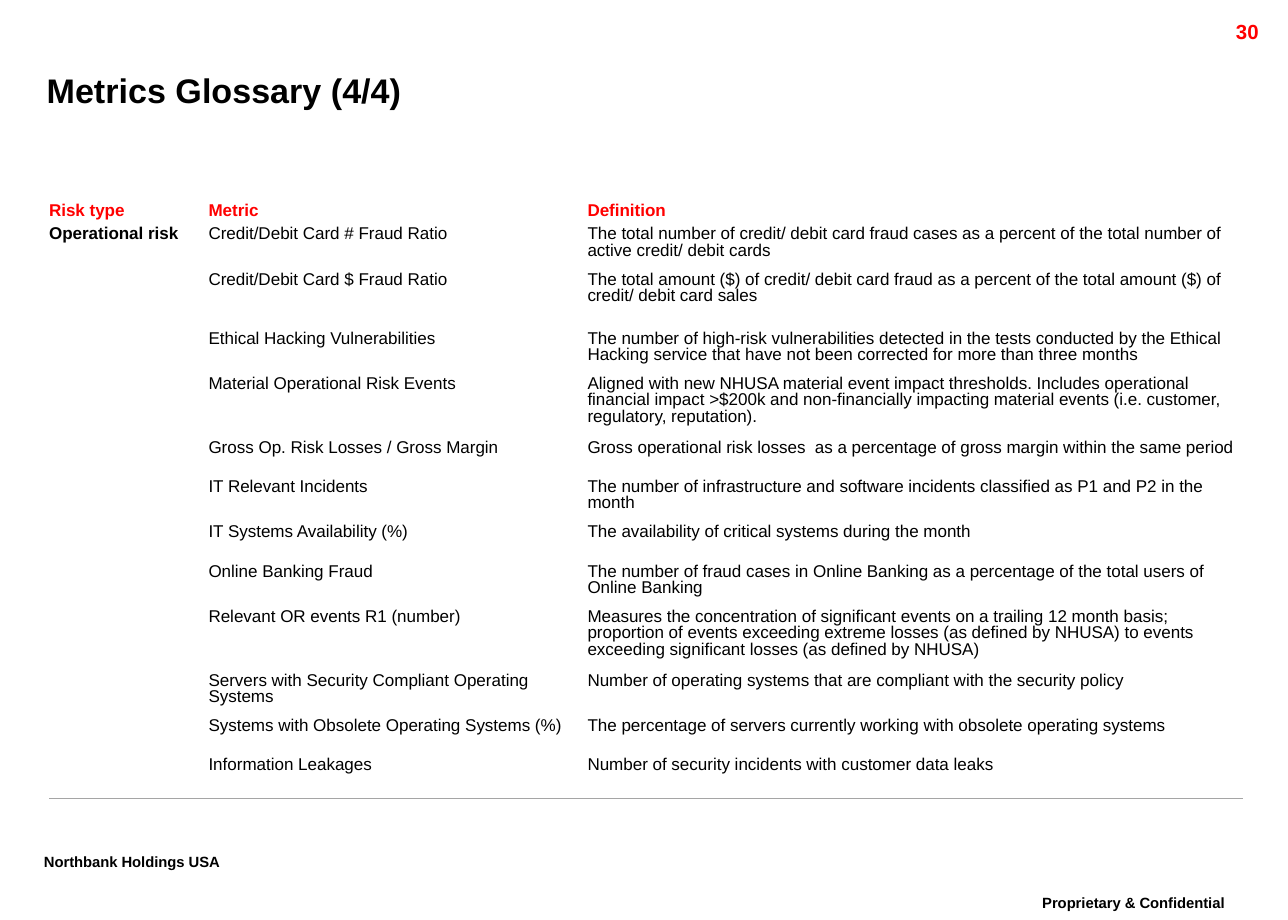
from lxml import etree
from pptx import Presentation
from pptx import util as u
from pptx.dml import color
from pptx.enum import text
from pptx.oxml import ns

RED, BLACK, GREY = "FF0000", "000000", "A5A5A5"
TITLE = "Metrics Glossary (4/4)"
HEADS = ["Risk type", "Metric", "Definition"]
RISK = "Operational risk"
# metric, definition, row height
METRICS = [
    ("Credit/Debit Card # Fraud Ratio",
     "The total number of credit/ debit card fraud cases as a percent of the "
     "total number of active credit/ debit cards", 0.37),
    ("Credit/Debit Card $ Fraud Ratio",
     "The total amount ($) of credit/ debit card fraud as a percent of the "
     "total amount ($) of credit/ debit card sales", 0.48),
    ("Ethical Hacking Vulnerabilities",
     "The number of high-risk vulnerabilities detected in the tests conducted by the "
     "Ethical Hacking service that have not been corrected for more than three months", 0.37),
    ("Material Operational Risk Events",
     "Aligned with new NHUSA material event impact thresholds. Includes operational "
     "financial impact >$200k and non-financially impacting material events "
     "(i.e. customer, regulatory, reputation).", 0.52),
    ("Gross Op. Risk Losses / Gross Margin",
     "Gross operational risk losses  as a percentage of gross margin within the same period",
     0.32),
    ("IT Relevant Incidents",
     "The number of infrastructure and software incidents classified as P1 and P2 in the month",
     0.37),
    ("IT Systems Availability (%)",
     "The availability of critical systems during the month", 0.32),
    ("Online Banking Fraud",
     "The number of fraud cases in Online Banking as a percentage of the total users of "
     "Online Banking", 0.37),
    ("Relevant OR events R1 (number)",
     "Measures the concentration of significant events on a trailing 12 month basis; "
     "proportion of events exceeding extreme losses (as defined by NHUSA) to events "
     "exceeding significant losses (as defined by NHUSA)", 0.52),
    ("Servers with Security Compliant Operating Systems",
     "Number of operating systems that are compliant with the security policy", 0.37),
    ("Systems with Obsolete Operating Systems (%)",
     "The percentage of servers currently working with obsolete operating systems", 0.32),
    ("Information Leakages",
     "Number of security incidents with customer data leaks", 0.37),
]
WIDTHS = [1.3, 3.09, 5.34]
LEFT, TOP, HEAD_H = 0.4, 1.6, 0.21
ALIGN = text.PP_ALIGN
# text, place, alignment, size, colour, line spacing, raised by (% of size)
NOTES = [
    ("Proprietary & Confidential", (8.15, 7.25, 2.18, 0.35), ALIGN.CENTER, 15, BLACK, 0.86, 30),
    ("Northbank Holdings USA", (0.26, 6.91, 1.91, 0.35), ALIGN.LEFT, 15, BLACK, 0.86, 30),
    ("30", (9.36, 0.11, 1, 0.24), ALIGN.RIGHT, 12, RED, 1.0, 0),
]


def put(frame, words, size, hue, bold, gap=0.86, align=ALIGN.LEFT):
    """Write one formatted paragraph and return its run."""
    frame.text = words
    para = frame.paragraphs[0]
    para.alignment, para.line_spacing = align, gap
    run = para.runs[0]
    run.font.name, run.font.size, run.font.bold = "Arial", u.Pt(size), bold
    run.font.color.rgb = color.RGBColor.from_string(hue)
    return run


def place(shape, box):
    shape.left, shape.top, shape.width, shape.height = map(u.Inches, box)


def rule(cell, shown):
    """Draw the line below a cell and leave its other sides bare."""
    props = cell._tc.get_or_add_tcPr()
    for side in "LRTB":
        line = etree.SubElement(props, ns.qn("a:ln" + side), w=str(u.Pt(0.75)))
        if side == "B" and shown:
            fill = etree.SubElement(line, ns.qn("a:solidFill"))
            etree.SubElement(fill, ns.qn("a:srgbClr"), val=GREY)
        else:
            etree.SubElement(line, ns.qn("a:noFill"))


def add_grid(slide):
    heights = [HEAD_H] + [row[2] for row in METRICS]
    last = len(METRICS)
    box = map(u.Inches, (LEFT, TOP, sum(WIDTHS), sum(heights)))
    table = slide.shapes.add_table(last + 1, len(HEADS), *box).table
    table.first_row = table.horz_banding = False
    for col, width in zip(table.columns, WIDTHS):
        col.width = u.Inches(width)
    for row, height in zip(table.rows, heights):
        row.height = u.Inches(height)

    rows = [HEADS] + [("", name, means) for name, means, _ in METRICS]
    rows[1] = (RISK,) + rows[1][1:]
    for r, row in enumerate(rows):
        for c, words in enumerate(row):
            cell = table.cell(r, c)
            cell.margin_left = cell.margin_right = 0
            cell.margin_top, cell.margin_bottom = u.Inches(0.04), u.Inches(0.02)
            cell.vertical_anchor = text.MSO_ANCHOR.TOP if r else text.MSO_ANCHOR.BOTTOM
            rule(cell, c > 0 or r == last)
            cell.fill.background()
            if words:
                put(cell.text_frame, words, 10, BLACK if r else RED, r == 0 or c == 0)
            else:
                end = cell.text_frame.paragraphs[0]._p.get_or_add_endParaRPr()
                end.set("sz", "1000")
    table.cell(1, 0).merge(table.cell(last - 1, 0))


def main():
    deck = Presentation()
    deck.slide_width, deck.slide_height = u.Inches(10.5), u.Inches(7.5)
    slide = deck.slides.add_slide(deck.slide_layouts[5])

    title = slide.shapes.title
    place(title, (0.38, 0.49, 9.48, 0.48))
    frame = title.text_frame
    frame.margin_left = frame.margin_right = frame.margin_top = frame.margin_bottom = 0
    frame.vertical_anchor = text.MSO_ANCHOR.MIDDLE
    put(frame, TITLE, 20, BLACK, True, 1.0)

    for words, box, align, size, hue, gap, lift in NOTES:
        note = slide.shapes.add_textbox(*map(u.Inches, box))
        note.text_frame.word_wrap = True
        run = put(note.text_frame, words, size, hue, True, gap, align)
        if lift:
            run._r.get_or_add_rPr().set("baseline", str(lift * 1000))

    add_grid(slide)
    deck.save("out.pptx")


if __name__ == "__main__":
    main()
